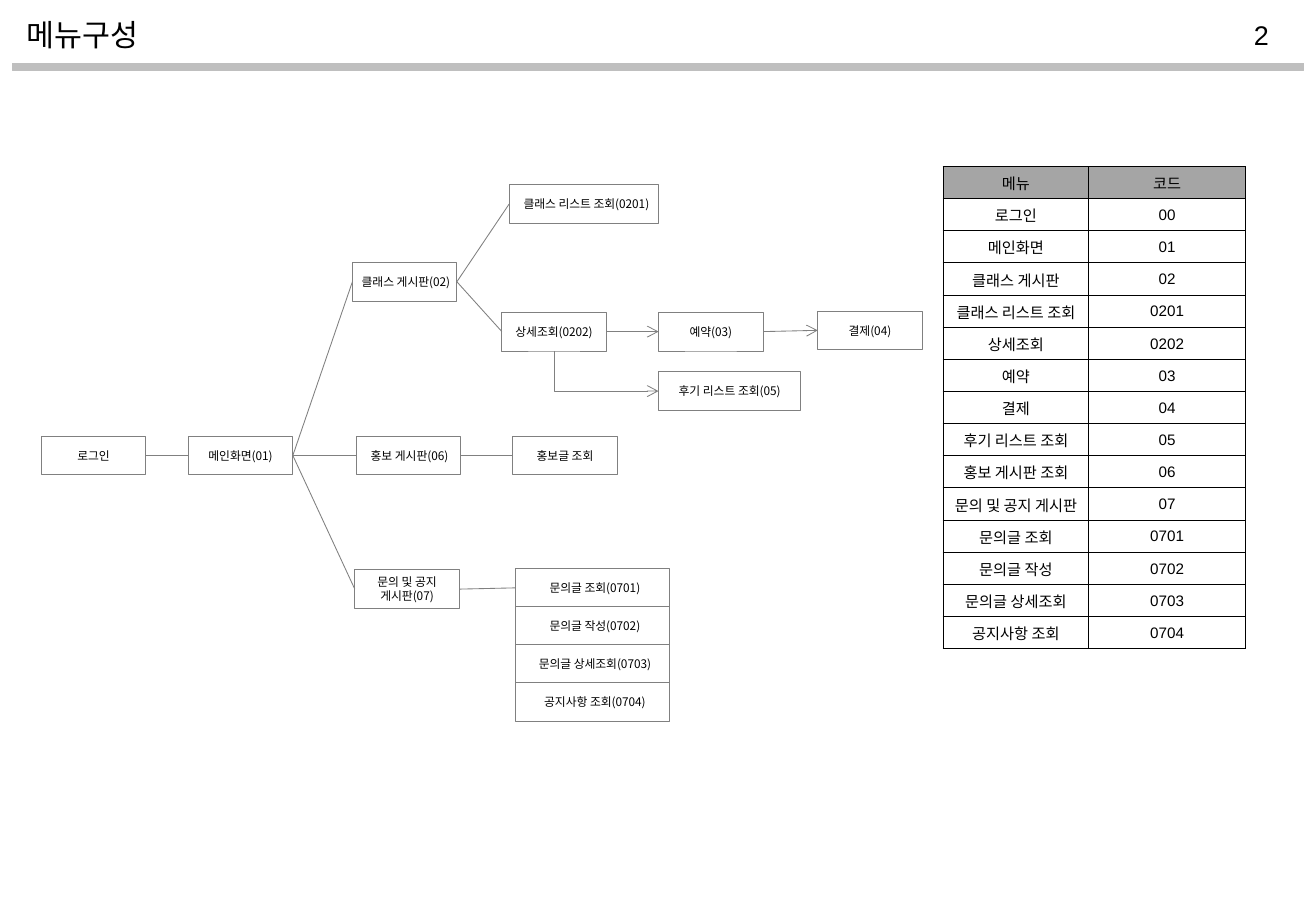
import dataclasses

import lxml.etree
import pptx
import pptx.dml.color
import pptx.enum.shapes
import pptx.enum.text
import pptx.oxml
import pptx.oxml.ns
import pptx.util

Inches = pptx.util.Inches
Pt = pptx.util.Pt
qn = pptx.oxml.ns.qn
Align = pptx.enum.text.PP_ALIGN
Anchor = pptx.enum.text.MSO_ANCHOR
Connector = pptx.enum.shapes.MSO_CONNECTOR
RECTANGLE = pptx.enum.shapes.MSO_SHAPE.RECTANGLE
TOP, LEFT, BOTTOM, RIGHT = range(4)


@dataclasses.dataclass(frozen=True)
class Theme:
    black: str = "000000"
    white: str = "FFFFFF"
    outline: str = "808080"
    bar: str = "BFBFBF"
    header: str = "A5A5A5"
    korean: str = "Noto Sans CJK KR"
    latin: str = "Arial"
    title_size: float = 18
    number_size: float = 16
    table_size: float = 9
    node_size: float = 7
    line_width: float = 0.5


@dataclasses.dataclass(frozen=True)
class Box:
    left: float
    top: float
    width: float
    height: float

    def inches(self):
        return [Inches(value) for value in dataclasses.astuple(self)]


THEME = Theme()
NODE_WIDTH, NODE_HEIGHT = 0.86, 0.32
STACK_STEP = 0.94 / 3
SPACE_INDENT = 0.02

NODES = {
    "login": ("로그인", 0, 2.07, NODE_WIDTH, 0),
    "main": ("메인화면(01)", 1.21, 2.07, NODE_WIDTH, 0),
    "class_board": ("클래스 게시판(02)", 2.56, 0.64, NODE_WIDTH, 1),
    "promotion_board": ("홍보 게시판(06)", 2.59, 2.07, NODE_WIDTH, 1),
    "inquiry_board": ("문의 및 공지\n게시판(07)", 2.58, 3.17, NODE_WIDTH, 0),
    "reservation": ("예약(03)", 5.08, 1.05, NODE_WIDTH, 0),
    "payment": ("결제(04)", 6.39, 1.04, NODE_WIDTH, 0),
    "detail": ("상세조회(0202)", 3.79, 1.05, NODE_WIDTH, 0),
    "class_list": ("클래스 리스트 조회(0201)", 3.85, 0, 1.23, 2),
    "promotion_post": ("홍보글 조회", 3.88, 2.07, NODE_WIDTH, 0),
    "reviews": ("후기 리스트 조회(05)", 5.08, 1.54, 1.17, 0),
}
INQUIRY_PAGES = ["문의글 조회(0701)", "문의글 작성(0702)",
                 "문의글 상세조회(0703)", "공지사항 조회(0704)"]
for index, label in enumerate(INQUIRY_PAGES):
    NODES[f"inquiry_{index}"] = (label, 3.9, 3.16 + index * STACK_STEP, 1.27, 2)

LINKS = [
    ("login", "main", False),
    ("main", "promotion_board", False),
    ("main", "class_board", False),
    ("main", "inquiry_board", False),
    ("class_board", "detail", False),
    ("class_board", "class_list", False),
    ("detail", "reservation", True),
    ("reservation", "payment", True),
    ("promotion_board", "promotion_post", False),
    ("inquiry_board", "inquiry_0", False),
]

MENU_CODES = [
    ("메뉴", "코드"), ("로그인", "00"), ("메인화면", "01"), ("클래스 게시판", "02"),
    ("클래스 리스트 조회", "0201"), ("상세조회", "0202"), ("예약", "03"),
    ("결제", "04"), ("후기 리스트 조회", "05"), ("홍보 게시판 조회", "06"),
    ("문의 및 공지 게시판", "07"), ("문의글 조회", "0701"), ("문의글 작성", "0702"),
    ("문의글 상세조회", "0703"), ("공지사항 조회", "0704"),
]


def color(value):
    return pptx.dml.color.RGBColor.from_string(value)


def set_text(text_frame, text, size, font, alignment):
    text_frame.text = text
    for paragraph in text_frame.paragraphs:
        paragraph.alignment = alignment
        for run in paragraph.runs:
            run.font.size = Pt(size)
            run.font.name = font
            run.font.color.rgb = color(THEME.black)
            east_asian = lxml.etree.Element(qn("a:ea"), typeface=THEME.korean)
            run.font._element.find(qn("a:latin")).addnext(east_asian)


def add_rectangle(slide, box, fill, line):
    shape = slide.shapes.add_shape(RECTANGLE, *box.inches())
    shape.shadow.inherit = False
    shape.fill.solid()
    shape.fill.fore_color.rgb = color(fill)
    shape.line.color.rgb = color(line)
    shape.line.width = Pt(THEME.line_width)
    return shape


def add_link(slide, kind, source, source_side, target, target_side, arrow):
    connector = slide.shapes.add_connector(kind, 0, 0, 0, 0)
    connector.begin_connect(source, source_side)
    connector.end_connect(target, target_side)
    connector.line.color.rgb = color(THEME.outline)
    connector.line.width = Pt(THEME.line_width)
    if arrow:
        line = connector.line._get_or_add_ln()
        lxml.etree.SubElement(line, qn("a:tailEnd"), type="arrow")
    lxml.etree.SubElement(connector._element.spPr, qn("a:effectLst"))
    return connector


def bend_down_then_right(connector):
    left, top = connector.left, connector.top
    run, drop = connector.width, connector.height
    connector.left, connector.top = left + (run - drop) // 2, top + (drop - run) // 2
    connector.width, connector.height = drop, run
    properties = connector._element.spPr
    properties.find(qn("a:prstGeom")).set("prst", "bentConnector2")
    transform = properties.find(qn("a:xfrm"))
    transform.set("rot", "5400000")
    transform.set("flipV", "1")


def add_header(slide, box):
    add_rectangle(slide, Box(box.left, box.top + 0.52, box.width, 0.06), THEME.bar, THEME.bar)
    title = slide.shapes.title
    title.left, title.top, title.width, title.height = Box(
        box.left + 0.02, box.top + 0.1, 3, 0.36).inches()
    set_text(title.text_frame, "메뉴구성", THEME.title_size, THEME.korean, Align.LEFT)
    title.text_frame.word_wrap = True
    title.text_frame.auto_size = pptx.enum.text.MSO_AUTO_SIZE.NONE
    title.text_frame.vertical_anchor = Anchor.MIDDLE
    number = slide.shapes.add_textbox(
        *Box(box.left + box.width - 0.98, box.top + 0.1, 0.79, 0.36).inches())
    number.text_frame.word_wrap = True
    set_text(number.text_frame, "2", THEME.number_size, THEME.latin, Align.RIGHT)


def add_menu_tree(slide, box):
    shapes = {}
    for name, (label, left, top, width, indent) in NODES.items():
        node_box = Box(box.left + left, box.top + top, width, NODE_HEIGHT)
        shape = add_rectangle(slide, node_box, THEME.white, THEME.outline)
        shape.text_frame.word_wrap = False
        shape.text_frame.vertical_anchor = Anchor.MIDDLE
        shape.text_frame.margin_left = Inches(0.1 + indent * SPACE_INDENT)
        set_text(shape.text_frame, label, THEME.node_size, THEME.korean, Align.CENTER)
        shapes[name] = shape
    for source, target, arrow in LINKS:
        add_link(slide, Connector.STRAIGHT, shapes[source], RIGHT, shapes[target], LEFT, arrow)
    bend_down_then_right(add_link(
        slide, Connector.ELBOW, shapes["detail"], BOTTOM, shapes["reviews"], LEFT, True))


def add_cell_borders(cell):
    properties = cell._tc.get_or_add_tcPr()
    for index, side in enumerate(("a:lnL", "a:lnR", "a:lnT", "a:lnB")):
        border = lxml.etree.Element(qn(side), w=str(Pt(THEME.line_width)))
        fill = lxml.etree.SubElement(border, qn("a:solidFill"))
        lxml.etree.SubElement(fill, qn("a:srgbClr"), val=THEME.black)
        properties.insert(index, border)


def add_code_table(slide, box):
    table = slide.shapes.add_table(len(MENU_CODES), 2, *box.inches()).table
    table.horz_banding = False
    table.first_row = False
    table.columns[0].width = Inches(1.2)
    table.columns[1].width = Inches(box.width - 1.2)
    for row_index, labels in enumerate(MENU_CODES):
        table.rows[row_index].height = Inches(box.height / len(MENU_CODES))
        for column_index, label in enumerate(labels):
            cell = table.cell(row_index, column_index)
            cell.margin_left = cell.margin_right = cell.margin_top = Inches(0.01)
            cell.margin_bottom = 0
            cell.vertical_anchor = Anchor.MIDDLE
            cell.fill.solid()
            cell.fill.fore_color.rgb = color(THEME.white if row_index else THEME.header)
            set_text(cell.text_frame, label, THEME.table_size, THEME.latin, Align.CENTER)
            add_cell_borders(cell)


def main():
    presentation = pptx.Presentation()
    presentation.slide_width, presentation.slide_height = Inches(10.83), Inches(7.5)
    slide = presentation.slides.add_slide(presentation.slide_layouts[5])
    add_header(slide, Box(0.1, 0, 10.63, 0.58))
    add_menu_tree(slide, Box(0.34, 1.52, 7.25, 4.42))
    add_code_table(slide, Box(7.76, 1.37, 2.49, 3.97))
    presentation.save("out.pptx")


if __name__ == "__main__":
    main()
